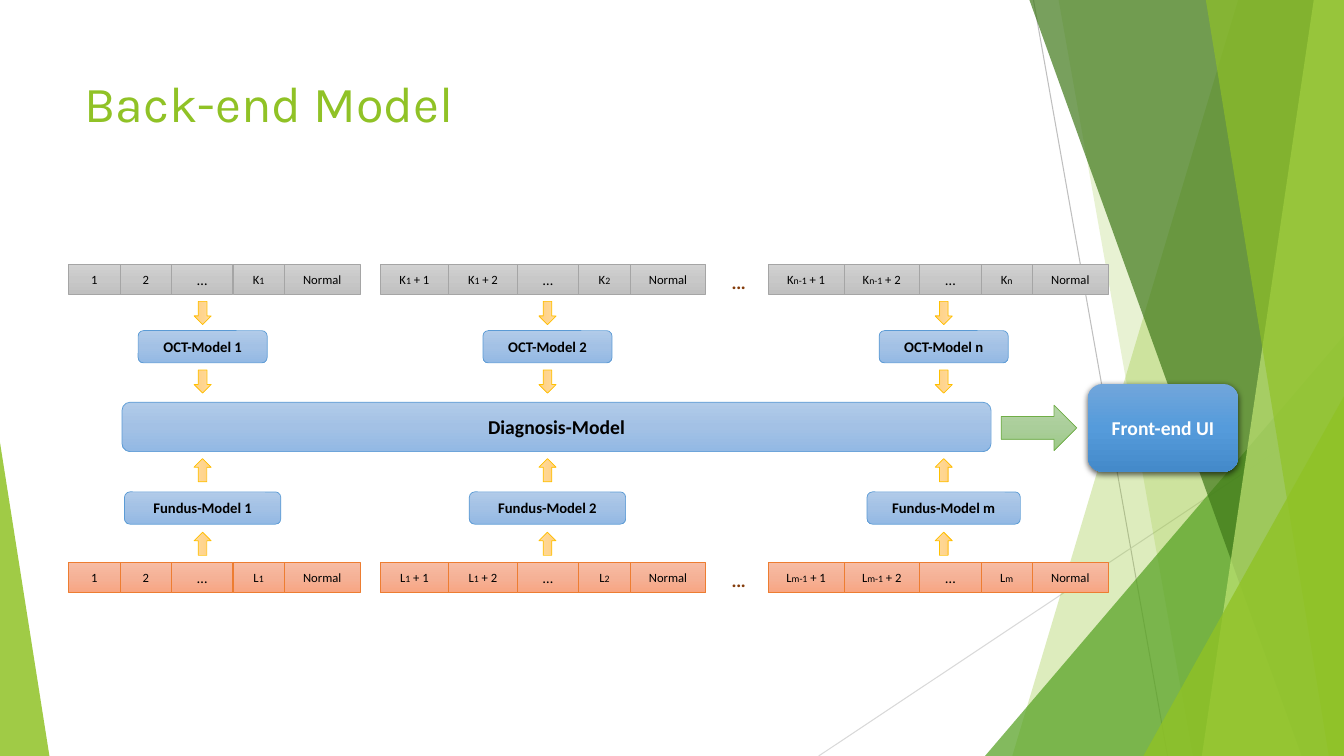
from copy import deepcopy

from lxml import etree
from pptx import Presentation
from pptx.dml.color import RGBColor
from pptx.enum.shapes import MSO_CONNECTOR, MSO_SHAPE
from pptx.enum.text import MSO_ANCHOR, PP_ALIGN
from pptx.oxml.ns import qn
from pptx.util import Inches, Pt

RECT = MSO_SHAPE.RECTANGLE
ROUND = MSO_SHAPE.ROUNDED_RECTANGLE
ARROW = MSO_SHAPE.RIGHT_ARROW
TRIANGLE = MSO_SHAPE.ISOSCELES_TRIANGLE
STRAIGHT = MSO_CONNECTOR.STRAIGHT
CENTER, LEFT = PP_ALIGN.CENTER, PP_ALIGN.LEFT
MIDDLE, TOP = MSO_ANCHOR.MIDDLE, MSO_ANCHOR.TOP


def rgb(*codes):
    return [RGBColor.from_string(c) for c in codes]


BLACK, WHITE, BROWN = rgb("000000", "FFFFFF", "843C0B")
LIME, GREEN, FOREST, PALE = rgb("90C226", "54A021", "3F7819", "C0E474")
RULE_DARK, RULE_LIGHT = rgb("BFBFBF", "D9D9D9")

# Each palette: three gradient stops, then the outline
GRAY = rgb("D2D2D2", "C8C8C8", "C0C0C0", "A5A5A5")
ORANGE = rgb("F7BDA5", "F5B196", "F8A582", "ED7D31")
BLUE = rgb("B1CBE9", "A3C1E5", "93B9E4", "5B9BD5")
GOLD = rgb("FFDB9E", "FFD590", "FFD07C", "FFC000")
LEAF = rgb("B5D5A7", "AACE9A", "9CC987", "70AD47")
DEEP_BLUE = rgb("71A6DB", "559BDB", "448ACA")

WIDTH, HEIGHT = 13.33, 7.5
ELLIPSIS_W, SUFFIX_W, NORMAL_W = 0.61, 0.51, 0.75
# Row left, width of the first two cells, arrow axis, OCT and Fundus box widths
STAGES = [(0.68, 0.51, 2.01, 1.28, 1.55),
          (3.77, 0.68, 5.43, 1.28, 1.55),
          (7.62, 0.75, 9.36, 1.28, 1.52)]


def write(sp, text, size=9, font="Calibri", color=BLACK, bold=False,
          align=CENTER, anchor=MIDDLE, inset=0.0, small=7):
    """Fill a shape with text; parts between underscores are set small."""
    tf = sp.text_frame
    tf.word_wrap = True
    tf.vertical_anchor = anchor
    tf.margin_left = tf.margin_right = Inches(inset)
    tf.margin_top = tf.margin_bottom = Inches(inset / 2)
    p = tf.paragraphs[0]
    p.alignment = align
    for i, part in enumerate(text.split("_")):
        if part:
            r = p.add_run()
            r.text = part
            r.font.size = Pt(small if i % 2 else size)
            r.font.name = font
            r.font.bold = bold
            r.font.color.rgb = color


def label(s, box, text, **fmt):
    write(s.shapes.add_textbox(*map(Inches, box)), text, align=LEFT,
          anchor=TOP, inset=0.1, font="Karla", **fmt)


def block(s, kind, box, palette, text="", rotation=0, **fmt):
    """Add a shape with a vertical three-stop gradient."""
    sp = s.shapes.add_shape(kind, *map(Inches, box))
    sp.shadow.inherit = False
    sp.rotation = rotation
    sp.fill.gradient()
    sp.fill.gradient_angle = 270
    stops = sp._element.spPr.find(".//" + qn("a:gsLst"))
    stops.insert(1, deepcopy(stops[0]))
    for stop, pos, color in zip(sp.fill.gradient_stops, (0, 0.5, 1), palette):
        stop.position = pos
        stop.color.rgb = color
    if len(palette) > 3:
        sp.line.color.rgb = palette[3]
        sp.line.width = Pt(0.5)
    else:
        sp.line.fill.background()
    if text:
        write(sp, text, **fmt)
    return sp


def tint(sp, color, alpha):
    """Give a shape a transparent fill (alpha in percent) and no outline."""
    sp.shadow.inherit = False
    sp.fill.solid()
    sp.fill.fore_color.rgb = color
    sp.line.fill.background()
    clr = sp._element.spPr.find(".//" + qn("a:srgbClr"))
    etree.SubElement(clr, qn("a:alpha"), val=str(alpha * 1000))


def facet(s, top_x, bottom_x, color, alpha):
    """Add a band between a slanted edge and the right side of the slide."""
    fb = s.shapes.build_freeform(Inches(top_x), 0)
    fb.add_line_segments([(Inches(x), Inches(y)) for x, y in
                          ((WIDTH, 0), (WIDTH, HEIGHT), (bottom_x, HEIGHT))])
    tint(fb.convert_to_shape(), color, alpha)


def corner(s, left, top, width, apex, color, alpha):
    """Add a right triangle standing on the bottom edge of the slide."""
    sp = s.shapes.add_shape(TRIANGLE, *map(Inches, (left, top, width, HEIGHT - top)))
    sp.adjustments[0] = apex
    tint(sp, color, alpha)


def rule(s, ends, color):
    cx = s.shapes.add_connector(STRAIGHT, *map(Inches, ends))
    cx.line.color.rgb = color
    cx.line.width = Pt(0.75)
    etree.SubElement(cx._element.spPr, qn("a:effectLst"))


def backdrop(s):
    rule(s, (10.25, 0, 11.58, HEIGHT), RULE_DARK)
    rule(s, (WIDTH, 4.03, 8.12, HEIGHT), RULE_LIGHT)
    facet(s, 12.28, 10.04, LIME, 30)
    facet(s, 10.5, 11.83, LIME, 20)
    corner(s, 9.77, 3.33, 3.56, 1, GREEN, 72)
    facet(s, 10.21, 12.91, FOREST, 70)
    facet(s, 13.03, 11.92, PALE, 70)
    facet(s, 11.96, 13.18, LIME, 65)
    corner(s, 11.34, 3.93, 1.99, 1, LIME, 80)
    corner(s, 0, 4.39, 0.49, 0, LIME, 85)


def class_row(s, left, top, first_w, texts, palette):
    widths = (first_w, first_w, ELLIPSIS_W, SUFFIX_W, NORMAL_W)
    for text, width in zip(texts, widths):
        block(s, RECT, (left, top, width, 0.3), palette, text,
              size=10.5 if text == "…" else 9)
        left += width


def pipeline(s, letter, last, name, row_y, model_y, arrow_ys, rotation, palette):
    """Add one family of models with its class rows and arrows."""
    starts = ["", f"{letter}_1_ + ", f"{letter}_{last}-1_ + "]
    for (left, first_w, axis, *model_ws), start, n in zip(STAGES, starts, ("1", "2", last)):
        texts = (start + "1", start + "2", "…", f"{letter}_{n}_", "Normal")
        class_row(s, left, row_y, first_w, texts, palette)
        model_w = model_ws[name == "Fundus"]
        block(s, ROUND, (axis - model_w / 2, model_y, model_w, 0.32), BLUE,
              f"{name}-Model {n}", size=10.5, bold=True)
        for y in arrow_ys:
            block(s, ARROW, (axis - 0.115, y, 0.23, 0.17), GOLD, rotation=rotation)
    label(s, (7.16, row_y - 0.05, 0.66, 0.49), "…", size=18, color=BROWN)


def front_end(s, left, top):
    block(s, ARROW, (left, top + 0.21, 0.75, 0.45), LEAF)
    sp = block(s, ROUND, (left + 0.86, top, 1.49, 0.87), DEEP_BLUE,
               "Front-end UI", size=14, bold=True, color=WHITE)
    effects = sp._element.spPr.find(qn("a:effectLst"))
    shadow = etree.SubElement(effects, qn("a:outerShdw"), blurRad=str(Pt(4.5)),
                              dist=str(Pt(1.5)), dir="5400000", algn="ctr",
                              rotWithShape="0")
    clr = etree.SubElement(shadow, qn("a:srgbClr"), val=str(BLACK))
    etree.SubElement(clr, qn("a:alpha"), val="63000")


def main():
    prs = Presentation()
    prs.slide_width, prs.slide_height = Inches(WIDTH), Inches(HEIGHT)
    s = prs.slides.add_slide(prs.slide_layouts[6])
    backdrop(s)
    label(s, (0.74, 0.67, 9.4, 1.44), "Back-end Model", size=36, color=LIME)
    pipeline(s, "K", "n", "OCT", 2.62, 3.28, (3.02, 3.7), 90, GRAY)
    pipeline(s, "L", "m", "Fundus", 5.58, 4.88, (4.58, 5.31), 270, ORANGE)
    block(s, ROUND, (1.21, 3.99, 8.62, 0.49), BLUE, "Diagnosis-Model", size=14, bold=True)
    front_end(s, 9.93, 3.81)
    prs.save("out.pptx")


if __name__ == "__main__":
    main()
